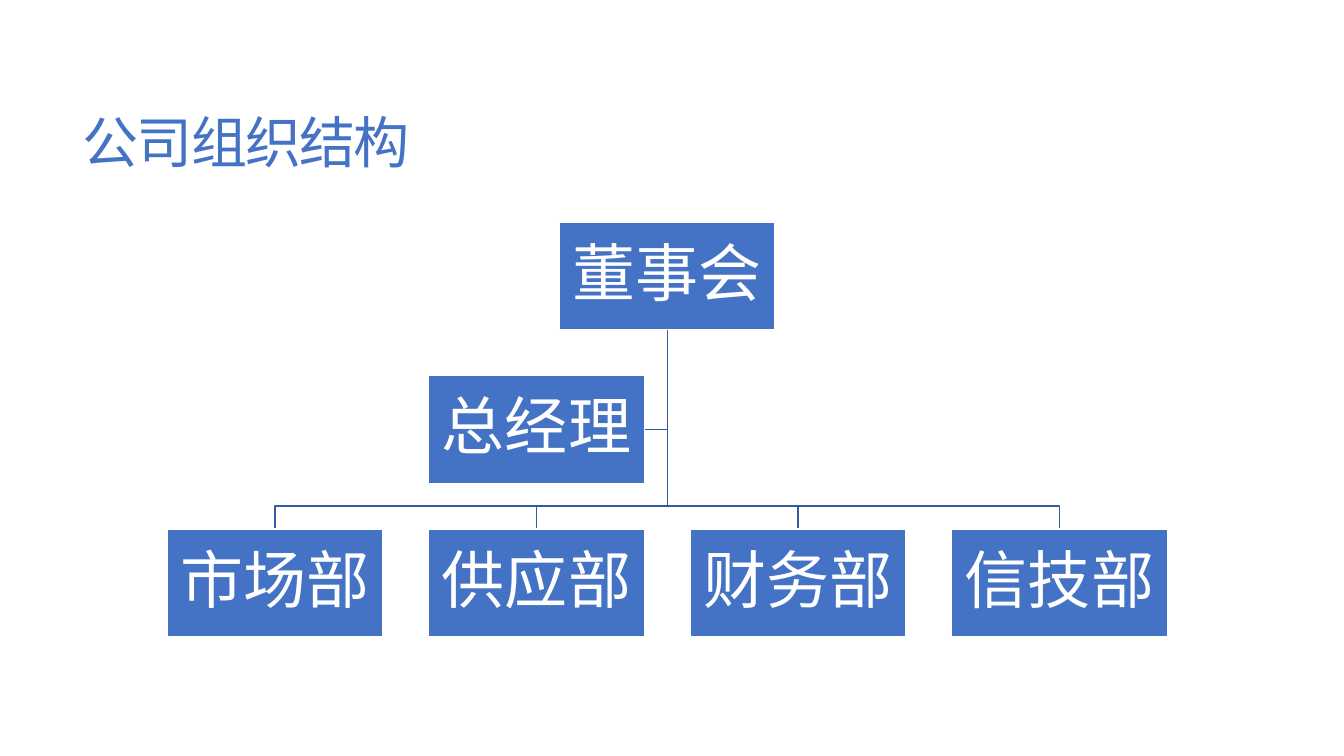
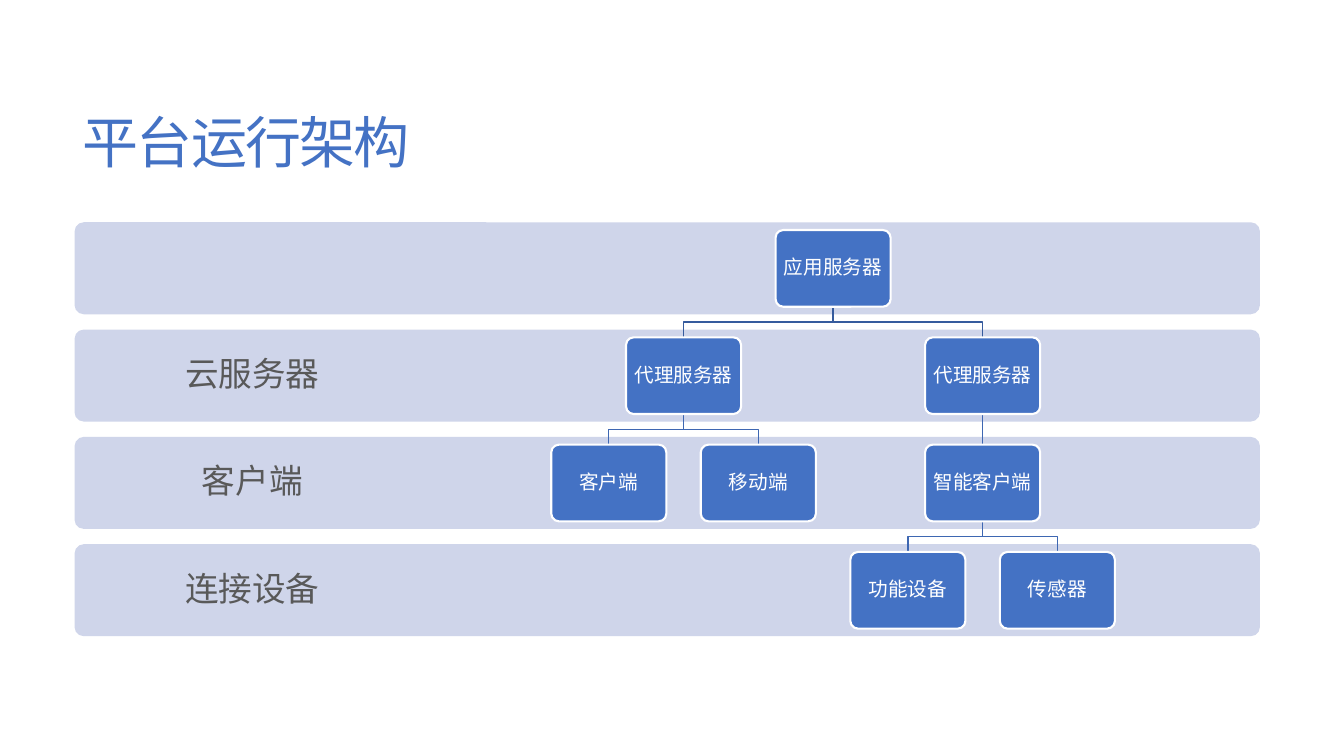
"""Build two slides: a company chart and a platform architecture."""
from lxml.etree import SubElement
from pptx import Presentation
from pptx.dml.color import RGBColor
from pptx.enum.shapes import MSO_CONNECTOR, MSO_SHAPE
from pptx.enum.text import MSO_ANCHOR, MSO_AUTO_SIZE, PP_ALIGN
from pptx.oxml.ns import qn
from pptx.util import Pt

FONT = "Noto Sans CJK SC"
BLUE = RGBColor(0x44, 0x72, 0xC4)
DARK = RGBColor(0x36, 0x5B, 0x9D)
MID = RGBColor(0x3E, 0x67, 0xB2)
PALE = RGBColor(0xCF, 0xD5, 0xEA)
GREY = RGBColor(0x59, 0x59, 0x59)
WHITE = RGBColor(0xFF, 0xFF, 0xFF)

# text, column offset from the centre, row
COMPANY = {
    "title": "公司组织结构",
    "nodes": {
        "board": ("董事会", 0, 0),
        "manager": ("总经理", -0.5, 1),
        "market": ("市场部", -1.5, 2),
        "supply": ("供应部", -0.5, 2),
        "finance": ("财务部", 0.5, 2),
        "tech": ("信技部", 1.5, 2),
    },
    "links": [("board", ("tech", "finance", "supply", "market"), DARK)],
    "aide": ("board", "manager"),
    "grid": {"mid": 476.6, "top": 158.6, "dx": 186.8, "dy": 109.6,
             "wide": 154.2, "high": 77, "drop": 16.4},
    "look": {"kind": MSO_SHAPE.RECTANGLE, "edge": 1},
    "words": {"size": 45, "inset": 2},
}
PLATFORM = {
    "title": "平台运行架构",
    "bands": ["", "云服务器", "客户端", "连接设备"],
    "nodes": {
        "app": ("应用服务器", 0, 0),
        "left": ("代理服务器", -2, 1),
        "right": ("代理服务器", 2, 1),
        "client": ("客户端", -3, 2),
        "mobile": ("移动端", -1, 2),
        "smart": ("智能客户端", 2, 2),
        "device": ("功能设备", 1, 3),
        "sensor": ("传感器", 3, 3),
    },
    "links": [
        ("app", ("left", "right"), DARK),
        ("left", ("client", "mobile"), MID),
        ("right", ("smart",), MID),
        ("smart", ("device", "sensor"), MID),
    ],
    "grid": {"mid": 595.1, "top": 164.3, "dx": 53.4, "dy": 76.65,
             "wide": 82.2, "high": 54.8, "drop": 10.9},
    "look": {"kind": MSO_SHAPE.ROUNDED_RECTANGLE, "edge": 1.5},
    "words": {"size": 14, "inset": 2},
}
BAND = {"left": 53.3, "top": 158.8, "wide": 846.7, "high": 65.7, "label": 0.3}


def write(shape, text, size, color=WHITE, align=PP_ALIGN.CENTER,
          lead=0.9, inset=None, track=None):
    frame = shape.text_frame
    frame.word_wrap = True
    frame.auto_size = MSO_AUTO_SIZE.NONE
    frame.vertical_anchor = MSO_ANCHOR.MIDDLE
    if inset is not None:
        frame.margin_left = frame.margin_right = Pt(inset)
        frame.margin_top = frame.margin_bottom = Pt(inset)
    para = frame.paragraphs[0]
    para.alignment, para.line_spacing = align, lead
    run = para.add_run()
    run.text = text
    font = run.font
    font.name, font.size, font.color.rgb = FONT, Pt(size), color
    props = font._element
    SubElement(props, qn("a:ea")).set("typeface", FONT)
    if track is not None:
        props.set("spc", str(track))


def block(slide, rect, fill, kind=MSO_SHAPE.ROUNDED_RECTANGLE, edge=None):
    shape = slide.shapes.add_shape(kind, *map(Pt, rect))
    shape.shadow.inherit = False
    shape.fill.solid()
    shape.fill.fore_color.rgb = fill
    if edge:
        shape.line.color.rgb, shape.line.width = WHITE, Pt(edge)
    else:
        shape.line.fill.background()
    if kind == MSO_SHAPE.ROUNDED_RECTANGLE:
        shape.adjustments[0] = 0.1
    return shape


def route(slide, points, color):
    spots = [(Pt(x), Pt(y)) for x, y in points]
    if len(spots) == 2:
        wire = slide.shapes.add_connector(
            MSO_CONNECTOR.STRAIGHT, *spots[0], *spots[1])
        SubElement(wire._element.spPr, qn("a:effectLst"))
    else:
        pen = slide.shapes.build_freeform(*spots[0])
        pen.add_line_segments(spots[1:], close=False)
        wire = pen.convert_to_shape()
        wire.shadow.inherit = False
        wire.fill.background()
    wire.line.color.rgb, wire.line.width = color, Pt(1)


def place(node, grid):
    _, col, row = node
    return grid["mid"] + col * grid["dx"], grid["top"] + row * grid["dy"]


def tree(slide, chart):
    grid, nodes = chart["grid"], chart["nodes"]
    wide, high = grid["wide"], grid["high"]
    spots = {key: place(node, grid) for key, node in nodes.items()}
    if "aide" in chart:
        (x, y), (side, top) = (spots[key] for key in chart["aide"])
        level = top + high / 2
        route(slide, [(x, y + high), (x, level), (side + wide / 2, level)], DARK)
    for root, kids, color in chart["links"]:
        x, y = spots[root]
        for end, foot in (spots[kid] for kid in kids):
            bus = foot - grid["drop"]
            bend = [(x, bus), (end, bus)] if end != x else []
            route(slide, [(x, y + high), *bend, (end, foot)], color)
    for key, (x, y) in spots.items():
        box = block(slide, (x - wide / 2, y, wide, high), BLUE, **chart["look"])
        write(box, nodes[key][0], **chart["words"])


def bands(slide, labels, pitch):
    for row, label in enumerate(labels):
        rect = (BAND["left"], BAND["top"] + row * pitch,
                BAND["wide"], BAND["high"])
        band = block(slide, rect, PALE)
        if label:
            write(band, label, 24, color=GREY, inset=0)
            band.text_frame.margin_right = Pt(BAND["wide"] * (1 - BAND["label"]))


def page(deck, chart):
    slide = deck.slides.add_slide(deck.slide_layouts[5])
    title = slide.shapes.title
    title.left, title.top = Pt(51.8), Pt(39.6)
    title.width, title.height = Pt(848.2), Pt(130.3)
    write(title, chart["title"], 40, color=BLUE, align=PP_ALIGN.LEFT,
          lead=0.85, track=-120)
    bands(slide, chart.get("bands", []), chart["grid"]["dy"])
    tree(slide, chart)


def main():
    deck = Presentation()
    deck.slide_width, deck.slide_height = Pt(960), Pt(540)
    for chart in (COMPANY, PLATFORM):
        page(deck, chart)
    deck.save("out.pptx")


if __name__ == "__main__":
    main()
